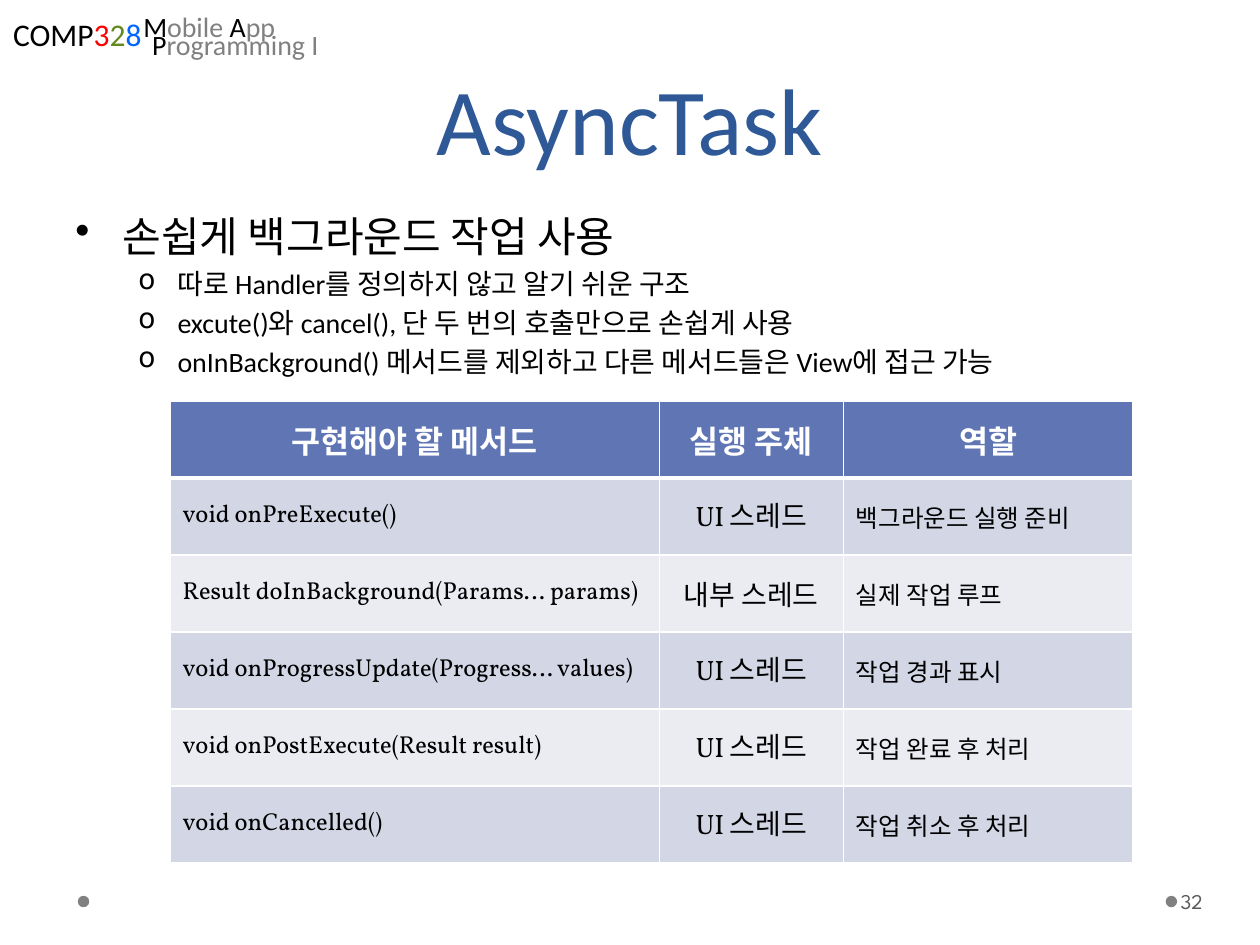
from dataclasses import dataclass

from lxml.etree import SubElement
from pptx import Presentation
from pptx.dml.color import RGBColor
from pptx.enum.shapes import MSO_SHAPE as Shape
from pptx.enum.text import MSO_ANCHOR as Anchor, MSO_AUTO_SIZE as AutoSize, PP_ALIGN as Align
from pptx.oxml import parse_xml
from pptx.oxml.ns import nsdecls, qn
from pptx.util import Cm, Pt

COLORS = {
    "black": "000000", "white": "FFFFFF", "gray": "808080", "number": "595959",
    "red": "FF0000", "green": "63891F", "blue": "0066FF", "title": "2F5897",
    "header": "6076B4", "odd": "D2D6E5", "even": "EAECF2",
}


@dataclass(frozen=True)
class Box:
    left: float
    top: float
    width: float
    height: float

    def lengths(self) -> tuple:
        return Cm(self.left), Cm(self.top), Cm(self.width), Cm(self.height)


@dataclass(frozen=True)
class Label:
    box: Box
    size: int
    pieces: tuple
    align: Align = Align.LEFT
    line_spacing: int | None = None


@dataclass(frozen=True)
class Bullet:
    text: str
    level: int = 0


@dataclass(frozen=True)
class BulletStyle:
    symbol: str
    size: int
    margin: float
    hanging: float


@dataclass(frozen=True)
class Method:
    signature: str
    thread: str
    role: str


@dataclass(frozen=True)
class CellStyle:
    size: int
    align: Align


LABELS = [
    Label(Box(0, 0.48, 3.12, 0.76), 18,
          (("COMP", "black"), ("3", "red"), ("2", "green"), ("8", "blue")), Align.CENTER, 13),
    Label(Box(2.64, 0.28, 3.2, 0.76), 16,
          (("M", "black"), ("obile ", "gray"), ("A", "black"), ("pp", "gray")), line_spacing=13),
    Label(Box(2.82, 0.43, 3.91, 0.94), 16, (("P", "black"), ("rogramming I", "gray"))),
]
BULLET_STYLES = [BulletStyle("•", 24, 0.95, 0.95), BulletStyle("o", 16, 2.06, 0.79)]
BULLETS = [
    Bullet("손쉽게 백그라운드 작업 사용"),
    Bullet("따로 Handler를 정의하지 않고 알기 쉬운 구조", 1),
    Bullet("excute()와 cancel(), 단 두 번의 호출만으로 손쉽게 사용", 1),
    Bullet("onInBackground() 메서드를 제외하고 다른 메서드들은 View에 접근 가능", 1),
]
HEADINGS = ("구현해야 할 메서드", "실행 주체", "역할")
METHODS = [
    Method("void onPreExecute()", "UI 스레드", "백그라운드 실행 준비"),
    Method("Result doInBackground(Params… params)", "내부 스레드", "실제 작업 루프"),
    Method("void onProgressUpdate(Progress… values)", "UI 스레드", "작업 경과 표시"),
    Method("void onPostExecute(Result result)", "UI 스레드", "작업 완료 후 처리"),
    Method("void onCancelled()", "UI 스레드", "작업 취소 후 처리"),
]
COLUMN_WIDTHS = (9.86, 3.71, 5.84)
HEADER_STYLE = CellStyle(18, Align.CENTER)
COLUMN_STYLES = (CellStyle(14, Align.LEFT), CellStyle(16, Align.CENTER), CellStyle(14, Align.LEFT))


def color(name: str) -> RGBColor:
    return RGBColor.from_string(COLORS[name])


def set_font(font, name: str, size: int, color_name: str, bold: bool = False) -> None:
    font.name, font.size, font.bold = name, Pt(size), bold
    font.color.rgb = color(color_name)


def add_dot(slide, left: float) -> None:
    dot = slide.shapes.add_shape(Shape.OVAL, *Box(left, 18.06, 0.23, 0.23).lengths())
    dot.shadow.inherit = False
    dot.fill.solid()
    dot.fill.fore_color.rgb = color("gray")
    dot.line.fill.background()


def add_label(slide, label: Label) -> None:
    frame = slide.shapes.add_textbox(*label.box.lengths()).text_frame
    frame.word_wrap = False
    line = frame.paragraphs[0]
    line.alignment = label.align
    if label.line_spacing:
        line.line_spacing = Pt(label.line_spacing)
    for text, color_name in label.pieces:
        run = line.add_run()
        run.text = text
        set_font(run.font, "Calibri", label.size, color_name)


def set_title(slide, text: str) -> None:
    title = slide.shapes.title
    title.left, title.top, title.width, title.height = Box(1.27, 0.74, 22.86, 2.9).lengths()
    frame = title.text_frame
    frame.text = text
    frame.auto_size = AutoSize.NONE
    frame.vertical_anchor = Anchor.BOTTOM
    heading = frame.paragraphs[0]
    heading.alignment = Align.CENTER
    heading.line_spacing = Pt(58)
    set_font(heading.font, "Calibri", 54, "title")


def add_bullets(slide, box: Box) -> None:
    frame = slide.shapes.add_textbox(*box.lengths()).text_frame
    frame.word_wrap = True
    for index, bullet in enumerate(BULLETS):
        style = BULLET_STYLES[bullet.level]
        item = frame.add_paragraph() if index else frame.paragraphs[0]
        item.text, item.level = bullet.text, bullet.level
        item.space_before = Pt(style.size * 0.2)
        set_font(item.font, "Calibri", style.size, "black")
        properties = item._p.get_or_add_pPr()
        properties.set("marL", str(Cm(style.margin)))
        properties.set("indent", str(-Cm(style.hanging)))
        symbol = parse_xml(f'<a:buChar {nsdecls("a")} char="{style.symbol}"/>')
        properties.insert_element_before(symbol, "a:tabLst", "a:defRPr", "a:extLst")


def set_borders(cell, bottom: int) -> None:
    properties = cell._tc.get_or_add_tcPr()
    widths = {"a:lnL": 1, "a:lnR": 1, "a:lnT": 1, "a:lnB": bottom}
    for index, (side, width) in enumerate(widths.items()):
        border = SubElement(properties, qn(side), w=str(Pt(width)))
        fill = SubElement(border, qn("a:solidFill"))
        SubElement(fill, qn("a:srgbClr"), val=COLORS["white"])
        properties.insert(index, border)


def fill_cell(cell, text: str, style: CellStyle, fill: str, is_header: bool) -> None:
    cell.text = text
    cell.vertical_anchor = Anchor.MIDDLE
    cell.fill.solid()
    cell.fill.fore_color.rgb = color(fill)
    line = cell.text_frame.paragraphs[0]
    line.alignment = style.align
    set_font(line.font, "Vollkorn", style.size, "white" if is_header else "black", is_header)
    set_borders(cell, 3 if is_header else 1)


def add_methods(slide, box: Box) -> None:
    rows = [HEADINGS] + [(m.signature, m.thread, m.role) for m in METHODS]
    table = slide.shapes.add_table(len(rows), len(HEADINGS), *box.lengths()).table
    for column, width in zip(table.columns, COLUMN_WIDTHS):
        column.width = Cm(width)
    for row_index, texts in enumerate(rows):
        is_header = row_index == 0
        fill = "header" if is_header else "odd" if row_index % 2 else "even"
        for column_index, text in enumerate(texts):
            style = HEADER_STYLE if is_header else COLUMN_STYLES[column_index]
            fill_cell(table.cell(row_index, column_index), text, style, fill, is_header)


def add_page_number(slide, number: str) -> None:
    frame = slide.shapes.add_textbox(*Box(23.72, 17.65, 1.55, 1.02).lengths()).text_frame
    frame.word_wrap = True
    frame.vertical_anchor = Anchor.MIDDLE
    frame.margin_left, frame.margin_right = Cm(0.08), Cm(0.13)
    frame.text = number
    set_font(frame.paragraphs[0].font, "League Spartan", 12, "number")


def main() -> None:
    deck = Presentation()
    deck.slide_width, deck.slide_height = Cm(25.4), Cm(19.05)
    slide = deck.slides.add_slide(deck.slide_layouts[5])
    for left in (23.5, 1.57):
        add_dot(slide, left)
    for label in LABELS:
        add_label(slide, label)
    set_title(slide, "AsyncTask")
    add_bullets(slide, Box(1.27, 4.11, 22.86, 12.9))
    add_page_number(slide, "32")
    add_methods(slide, Box(3.43, 8.08, sum(COLUMN_WIDTHS), 9.32))
    deck.save("out.pptx")


if __name__ == "__main__":
    main()
